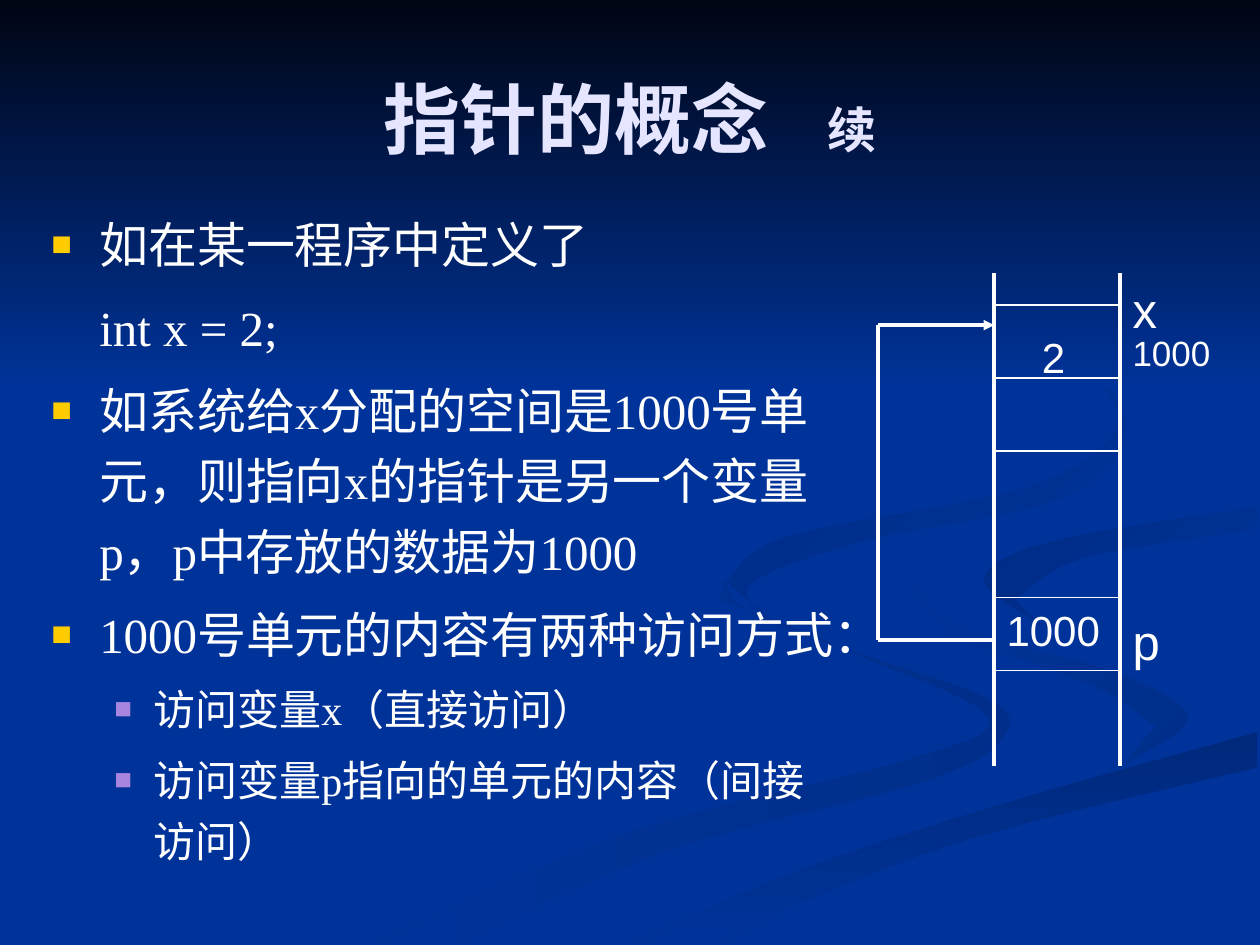
import pptx
import pptx.dml.color
import pptx.enum.lang
import pptx.enum.shapes
import pptx.enum.text
import pptx.oxml
import pptx.oxml.ns
import pptx.util

Inches = pptx.util.Inches
Pt = pptx.util.Pt
RGBColor = pptx.dml.color.RGBColor
qn = pptx.oxml.ns.qn

BLUE = RGBColor(0x00, 0x33, 0x99)
NIGHT = RGBColor(0x00, 0x05, 0x14)
SHADE = RGBColor(0x00, 0x2B, 0x83)
SOFT_SHADE = RGBColor(0x00, 0x2E, 0x8A)
DEEP_SHADE = RGBColor(0x00, 0x29, 0x7C)
WHITE = RGBColor(0xFF, 0xFF, 0xFF)
LAVENDER = RGBColor(0xE5, 0xE5, 0xFF)
GOLD = RGBColor(0xFF, 0xCC, 0x00)
VIOLET = RGBColor(0xA8, 0x86, 0xE0)
SERIF, SANS = "Times New Roman", "Arial"

# Each ribbon has two edges (in inches), first and last colour, and gradient angle.
RIBBONS = [
    ([(5.75, 4.6), (5.94, 4.85), (6.82, 5.19), (7.81, 5.53), (7.99, 5.81), (7.4, 6.18),
      (5.32, 6.74), (3.61, 7.49)],
     [(3, 7.49), (4.99, 6.61), (7.14, 6.05), (7.85, 5.7), (6.79, 5.19), (5.72, 4.76)],
     SOFT_SHADE, BLUE, 180),
    ([(7.24, 4.64), (7.58, 4.98), (8.88, 5.35), (9.43, 5.7), (8.94, 6.05)],
     [(9.17, 5.76), (8.68, 5.44), (7.55, 5.05)], SOFT_SHADE, BLUE, 225),
    ([(5.03, 7.49), (6.3, 6.93), (7.97, 6.38), (9.98, 5.81)],
     [(9.98, 6.09), (7.85, 6.61), (6.49, 7.1), (5.71, 7.49)], DEEP_SHADE, BLUE, 90),
    ([(8.26, 4.96), (7.81, 4.6), (8.35, 4.3), (9.98, 4.02)],
     [(9.98, 4.2), (8.59, 4.43), (8.05, 4.76)], BLUE, SHADE, 225),
    ([(7.62, 2.33), (8.54, 2.83), (8.94, 3.44), (8.41, 3.96), (6.83, 4.3), (5.94, 4.65),
      (6.22, 5)],
     [(5.77, 4.62), (6.25, 4.26), (8.18, 3.86), (8.89, 3.35), (8.46, 2.79)],
     BLUE, SHADE, 225),
]


def curve_through(points, steps=6):
    """Return points on a smooth open curve through the given ones."""
    padded = [points[0], *points, points[-1]]
    curve = []
    for before, start, end, after in zip(padded, padded[1:], padded[2:], padded[3:]):
        for step in range(steps):
            t = step / steps
            curve.append(tuple(
                b + t * (c - a) / 2 + t * t * (a - 2.5 * b + 2 * c - d / 2)
                + t ** 3 * (3 * (b - c) + d - a) / 2
                for a, b, c, d in zip(before, start, end, after)))
    return curve + [points[-1]]


def fill_gradient(shape, first, last, angle):
    """Blend two colours along a clockwise angle, with no outline or shadow."""
    shape.fill.gradient()
    shape.fill.gradient_angle = (360 - angle) % 360
    for stop, color in zip(shape.fill.gradient_stops, (first, last)):
        stop.color.rgb = color
    shape.line.fill.background()
    shape.shadow.inherit = False


def add_backdrop(page, width):
    page.background.fill.solid()
    page.background.fill.fore_color.rgb = BLUE
    for near_edge, far_edge, first, last, angle in RIBBONS:
        outline = [(Inches(x), Inches(y))
                   for edge in (near_edge, far_edge) for x, y in curve_through(edge)]
        builder = page.shapes.build_freeform(*outline[0])
        builder.add_line_segments(outline[1:], close=True)
        fill_gradient(builder.convert_to_shape(), first, last, angle)
    band = page.shapes.add_shape(pptx.enum.shapes.MSO_SHAPE.RECTANGLE, 0, 0, width, Inches(3.08))
    fill_gradient(band, NIGHT, BLUE, 90)


def add_text_box(page, left, top, width, height, anchor=pptx.enum.text.MSO_ANCHOR.TOP):
    box = page.shapes.add_textbox(left, top, width, height)
    box.text_frame.word_wrap = True
    box.text_frame.vertical_anchor = anchor
    return box.text_frame


def add_span(para, text, size, font=SERIF, color=WHITE, bold=False):
    span = para.add_run()
    span.text = text
    span.font.name = font
    span.font.size = Pt(size)
    span.font.bold = bold
    span.font.color.rgb = color
    span.font.language_id = pptx.enum.lang.MSO_LANGUAGE_ID.SIMPLIFIED_CHINESE


def set_indent(para, margin, hanging=0):
    properties = para._p.get_or_add_pPr()
    properties.set("marL", str(Inches(margin)))
    properties.set("indent", str(-Inches(hanging)))


def add_bullet(para, color):
    properties = para._p.get_or_add_pPr()
    namespace = pptx.oxml.ns.nsdecls("a")
    for part in (f'<a:buClr {namespace}><a:srgbClr val="{color}"/></a:buClr>',
                 f'<a:buSzPct {namespace} val="70000"/>',
                 f'<a:buFont {namespace} typeface="{SANS}"/>',
                 f'<a:buChar {namespace} char="■"/>'):
        properties.append(pptx.oxml.parse_xml(part))


def add_title(page, left, top, width, height):
    frame = add_text_box(page, left, top, width, height, pptx.enum.text.MSO_ANCHOR.MIDDLE)
    para = frame.paragraphs[0]
    para.alignment = pptx.enum.text.PP_ALIGN.CENTER
    for text, size in (("指针的概念", 44), ("　", 33), ("续", 28)):
        add_span(para, text, size, color=LAVENDER, bold=True)


def add_body(page, left, top, width, height):
    frame = add_text_box(page, left, top, width, height)
    items = [
        ("如在某一程序中定义了", 0, GOLD),
        ("int x = 2;", 0, None),
        ("如系统给x分配的空间是1000号单元，则指向x的指针是另一个变量p，p中存放的数据为1000", 0, GOLD),
        ("1000号单元的内容有两种访问方式：", 0, GOLD),
        ("访问变量x（直接访问）", 1, VIOLET),
        ("访问变量p指向的单元的内容（间接访问）", 1, VIOLET),
    ]
    levels = [(28, 7, 0.38, 0.38), (24, 6, 0.81, 0.31)]
    for index, (text, level, bullet) in enumerate(items):
        para = frame.add_paragraph() if index else frame.paragraphs[0]
        size, before, margin, hanging = levels[level]
        para.level = level
        para.line_spacing = 1.2
        para.space_before = Pt(before)
        set_indent(para, margin, hanging if bullet else 0)
        if bullet:
            add_bullet(para, bullet)
        add_span(para, text, size)


def add_line(page, start, end, weight, arrow=False):
    line = page.shapes.add_connector(pptx.enum.shapes.MSO_CONNECTOR.STRAIGHT, *start, *end)
    line.line.color.rgb = WHITE
    line.line.width = Pt(weight)
    properties = line._element.spPr
    if arrow:
        outline = properties.find(qn("a:ln"))
        outline.append(outline.makeelement(qn("a:tailEnd"), {"type": "triangle"}))
    properties.append(properties.makeelement(qn("a:effectLst"), {}))


def add_memory_diagram(page, left, top, width, height):
    """Draw the column of memory cells, with p's pointer looping back to x."""
    right, bottom = left + width, top + height
    for x in (left, right):
        add_line(page, (x, top), (x, bottom), 2)
    cell_height = Inches(0.58)
    for row in (0, 1, 2, 4, 5):
        y = top + Inches(0.25) + row * cell_height
        add_line(page, (left, y), (right, y), 0.75)

    loop_left, target, source = left - Inches(0.92), top + Inches(0.41), top + Inches(2.91)
    route = [(left, source), (loop_left, source), (loop_left, target), (left, target)]
    for start, end in zip(route, route[1:]):
        add_line(page, start, end, 2, arrow=end == route[-1])

    labels = [("1000", left, 2.58, 24, 0), ("2", left, 0.41, 24, 0.28),
              ("1000", right, 0.41, 20, 0), ("x", right, 0, 28, 0), ("p", right, 2.63, 28, 0)]
    for text, x, offset, size, indent in labels:
        frame = add_text_box(page, x, top + Inches(offset), width, Pt(size * 1.2) + Inches(0.1))
        para = frame.paragraphs[0]
        para.space_before = Pt(size * 0.625)
        set_indent(para, indent)
        add_span(para, text, size, font=SANS)


def main():
    deck = pptx.Presentation()
    deck.slide_width, deck.slide_height = Inches(10), Inches(7.5)
    page = deck.slides.add_slide(deck.slide_layouts[6])
    add_backdrop(page, deck.slide_width)
    add_title(page, Inches(0.75), Inches(0.31), Inches(8.5), Inches(1.25))
    add_body(page, Inches(0.31), Inches(1.56), Inches(6.43), Inches(5.94))
    add_memory_diagram(page, Inches(7.89), Inches(2.17), Inches(1), Inches(3.91))
    deck.save("out.pptx")


if __name__ == "__main__":
    main()
